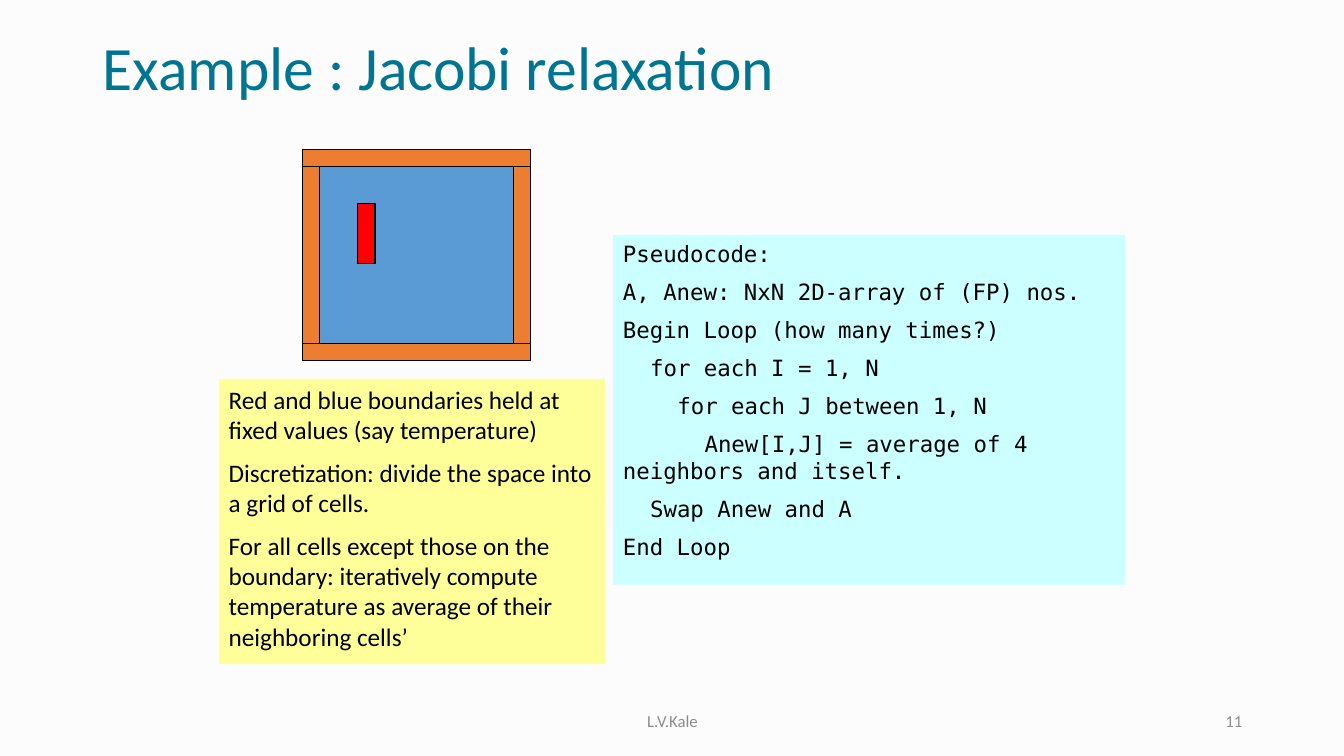
from pptx import Presentation
from pptx.dml.color import RGBColor
from pptx.enum.shapes import MSO_SHAPE as Shape
from pptx.enum.text import MSO_ANCHOR as Anchor, PP_ALIGN as Align
from pptx.util import Inches, Pt

THEME = {
    "sans": "Calibri", "mono": "DejaVu Sans Mono",
    "title_size": 44, "note_size": 18, "code_size": 16, "footer_size": 12,
    "back": "FCFCFC", "title": "007592", "text": "000000", "footer": "8C8C8C",
    "code_fill": "CCFFFF", "note_fill": "FFFF99",
    "plate": "5B9BD5", "wall": "ED7D31", "heater": "FF0000", "edge": "000000",
}

TITLE = "Example : Jacobi relaxation"
AUTHOR, PAGE = "L.V.Kale", "11"
CODE = [
    (0, "Pseudocode:"),
    (0, "A, Anew: NxN 2D-array of (FP) nos."),
    (0, "Begin Loop (how many times?)"),
    (1, "for each I = 1, N"),
    (2, "for each J between 1, N"),
    (3, "Anew[I,J] = average of 4 neighbors and itself."),
    (1, "Swap Anew and A"),
    (0, "End Loop"),
]
NOTES = [
    (0, "Red and blue boundaries held at fixed values (say temperature)"),
    (0, "Discretization: divide the space into a grid of cells."),
    (0, "For all cells except those on the boundary: iteratively compute "
        "temperature as average of their neighboring cells’"),
]
PLATE = (3.17, 1.58, 1.92, 1.83)
HEATER = (3.55, 2.02, 0.17, 0.59)
WALL = 0.17
INDENT_STEP = Inches(0.27)


def color(name):
    return RGBColor.from_string(THEME[name])


def add_box(slide, box, fill, edge=False):
    sp = slide.shapes.add_shape(Shape.RECTANGLE, *map(Inches, box))
    sp.shadow.inherit = False
    sp.fill.solid()
    sp.fill.fore_color.rgb = color(fill)
    if edge:
        sp.line.color.rgb = color("edge")
        sp.line.width = Pt(0.75)
    else:
        sp.line.fill.background()
    return sp


def add_text(sp, lines, font, size, ink="text", align=Align.LEFT, anchor=Anchor.TOP, spacing=1.0):
    tf = sp.text_frame
    tf.word_wrap = True
    tf.vertical_anchor = anchor
    for i, (level, text) in enumerate(lines):
        p = tf.add_paragraph() if i else tf.paragraphs[0]
        p.alignment = align
        p.line_spacing = spacing
        if i:
            p.space_before = Pt(THEME[size] / 2)
        if level:
            p._p.get_or_add_pPr().set("indent", str(level * INDENT_STEP))
        r = p.add_run()
        r.text = text
        r.font.name = THEME[font]
        r.font.size = Pt(THEME[size])
        r.font.color.rgb = color(ink)


def add_label(slide, box, text, size, ink, align, spacing=1.0):
    sp = slide.shapes.add_textbox(*map(Inches, box))
    add_text(sp, [(0, text)], "sans", size, ink, align, Anchor.MIDDLE, spacing)


def add_plate(slide):
    left, top, width, height = PLATE
    add_box(slide, PLATE, "plate", edge=True)
    add_box(slide, HEATER, "heater", edge=True)
    for x in (left - WALL, left + width):
        add_box(slide, (x, top, WALL, height), "wall", edge=True)
    for y in (top - 0.1, top + height):
        add_box(slide, (left - WALL, y, width + 2 * WALL, WALL), "wall", edge=True)


def main():
    prs = Presentation()
    prs.slide_width, prs.slide_height = Inches(13.33), Inches(7.5)
    s = prs.slides.add_slide(prs.slide_layouts[6])
    s.background.fill.solid()
    s.background.fill.fore_color.rgb = color("back")

    add_label(s, (0.92, 0.28, 11.5, 0.84), TITLE, "title_size", "title", Align.LEFT, 0.9)
    add_label(s, (4.42, 6.95, 4.5, 0.4), AUTHOR, "footer_size", "footer", Align.CENTER)
    add_label(s, (9.42, 6.95, 3, 0.4), PAGE, "footer_size", "footer", Align.RIGHT)
    add_text(add_box(s, (6.08, 2.33, 5.08, 3.47), "code_fill"), CODE, "mono", "code_size")
    add_text(add_box(s, (2.17, 3.76, 3.83, 2.83), "note_fill"), NOTES, "sans", "note_size")
    add_plate(s)
    prs.save("out.pptx")


if __name__ == "__main__":
    main()
